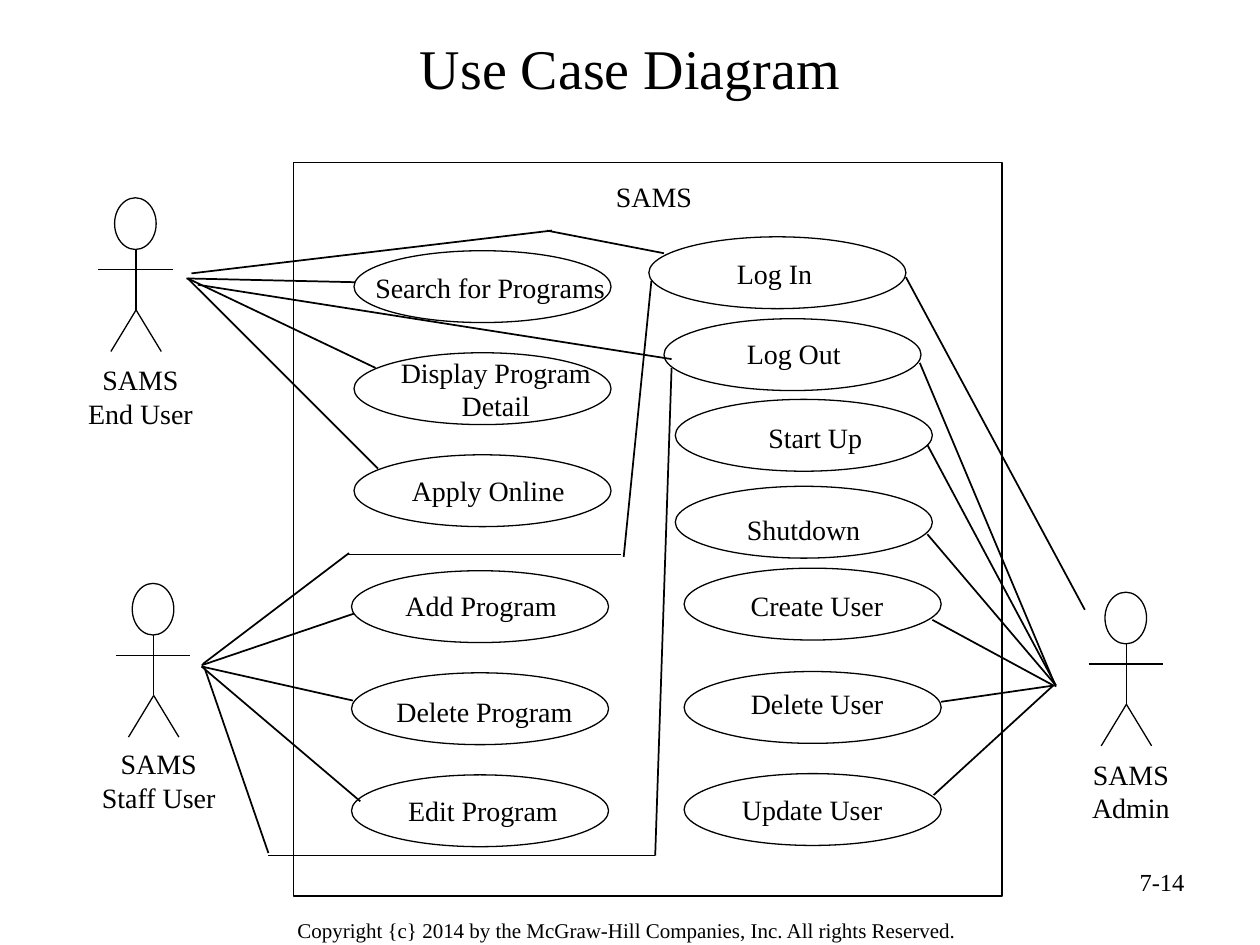
"""Build the use case diagram slide for SAMS."""
from lxml import etree
from pptx import Presentation
from pptx.dml.color import RGBColor
from pptx.enum.shapes import MSO_CONNECTOR, MSO_SHAPE
from pptx.enum.text import MSO_ANCHOR, MSO_AUTO_SIZE, PP_ALIGN
from pptx.oxml.ns import qn
from pptx.util import Inches, Pt

STRAIGHT = MSO_CONNECTOR.STRAIGHT
RECT, OVAL = MSO_SHAPE.RECTANGLE, MSO_SHAPE.OVAL
LEFT, CENTER, RIGHT = PP_ALIGN.LEFT, PP_ALIGN.CENTER, PP_ALIGN.RIGHT
MIDDLE = MSO_ANCHOR.MIDDLE
NO_GROW, GROW = MSO_AUTO_SIZE.NONE, MSO_AUTO_SIZE.SHAPE_TO_FIT_TEXT
BLACK = RGBColor.from_string("000000")

prs = Presentation()
prs.slide_width, prs.slide_height = Inches(10), Inches(7.5)
s = prs.slides.add_slide(prs.slide_layouts[5])


def write(sp, text, size, align):
    tf = sp.text_frame
    tf.text = text
    for p in tf.paragraphs:
        p.alignment = align
        p.font.name = "Times New Roman"
        p.font.size = Pt(size)
        p.font.color.rgb = BLACK
    return tf


def outline(sp, width):
    sp.line.color.rgb = BLACK
    sp.line.width = Pt(width)
    if hasattr(sp, "fill"):
        sp.fill.background()
        sp.shadow.inherit = False
    else:
        etree.SubElement(sp._element.spPr, qn("a:effectLst"))


title = s.shapes.title
title.left, title.top, title.width, title.height = map(Inches, (0.5, 0.16, 9, 0.75))
write(title, "Use Case Diagram", 32, CENTER).vertical_anchor = MIDDLE

footers = [
    ("Copyright {c} 2014 by the McGraw-Hill Companies, Inc. All rights Reserved.",
     (1.88, 7.22, 6.19, 0.31), 12, CENTER, GROW, 0.06),
    ("7-14", (7.17, 6.83, 2.33, 0.52), 14, RIGHT, NO_GROW, 0.05),
]
for text, box, size, align, grow, inset in footers:
    tf = write(s.shapes.add_textbox(*map(Inches, box)), text, size, align)
    tf.word_wrap = True
    tf.auto_size = grow
    tf.margin_top = tf.margin_bottom = Inches(inset)

system = s.shapes.add_shape(RECT, *map(Inches, (2.33, 1.29, 5.62, 5.82)))
outline(system, 1)

use_cases = [
    (5.15, 1.88), (5.27, 2.53), (5.36, 3.17), (5.36, 3.86),
    (5.43, 4.51), (5.43, 5.33), (5.43, 6.14),
    (2.81, 1.99), (2.81, 2.80), (2.81, 3.61),
    (2.79, 4.53), (2.79, 5.34), (2.79, 6.15),
]
for x, y in use_cases:
    outline(s.shapes.add_shape(OVAL, *map(Inches, (x, y, 2.04, 0.57))), 0.75)

labels = [
    ("SAMS", 4.79, 1.38, 0.8, LEFT),
    ("Log In", 5.75, 1.99, 0.79, LEFT),
    ("Log Out", 5.83, 2.62, 0.94, CENTER),
    ("Start Up", 6, 3.29, 0.94, LEFT),
    ("Shutdown", 5.83, 4.02, 1.1, LEFT),
    ("Create User", 5.86, 4.62, 1.25, LEFT),
    ("Delete User", 5.86, 5.4, 1.25, CENTER),
    ("Update User", 5.79, 6.24, 1.31, LEFT),
    ("Search for Programs", 2.88, 2.1, 2.02, LEFT),
    ("Display Program\nDetail", 3.08, 2.77, 1.71, CENTER),
    ("Apply Online", 3.17, 3.71, 1.41, LEFT),
    ("Add Program", 3.12, 4.62, 1.4, LEFT),
    ("Delete Program", 3.05, 5.46, 1.59, CENTER),
    ("Edit Program", 3.14, 6.25, 1.39, LEFT),
    ("SAMS\nEnd User", 0.6, 2.83, 1.03, CENTER),
    ("SAMS\nStaff User", 0.71, 5.88, 1.1, CENTER),
    ("SAMS\nAdmin", 8.57, 5.96, 0.81, CENTER),
]
for text, x, y, w, align in labels:
    h = 0.64 if "\n" in text else 0.37
    tf = write(s.shapes.add_textbox(*map(Inches, (x, y, w, h))), text, 16, align)
    tf.word_wrap = False
    tf.auto_size = NO_GROW
    tf.margin_left = Inches(0.05 if align == CENTER else 0.1)
    tf.margin_right = Inches(0.05)

lines = [
    (1.48, 2.21, 2.82, 2.24, 1), (1.49, 2.21, 2.98, 2.92, 1),
    (1.49, 2.21, 3, 3.72, 1), (1.57, 2.26, 5.33, 2.85, 1),
    (1.52, 2.17, 4.38, 1.83, 1), (4.34, 1.83, 5.27, 2.01, 1),
    (1.6, 5.28, 2.81, 4.87, 1), (1.6, 5.29, 2.8, 5.56, 1),
    (1.6, 5.29, 2.86, 6.36, 1),
    (1.61, 5.27, 2.77, 4.39, 1), (2.76, 4.4, 4.93, 4.4, 1),
    (4.95, 4.42, 5.17, 2.23, 1),
    (1.62, 5.29, 2.13, 6.77, 1), (2.13, 6.79, 5.2, 6.79, 1),
    (5.2, 6.79, 5.33, 2.92, 1),
    (8.36, 5.44, 7.4, 4.92, 1), (8.37, 5.44, 7.47, 5.57, 1),
    (8.36, 5.44, 7.41, 6.31, 1), (8.38, 5.44, 7.36, 4.24, 1),
    (8.38, 5.44, 7.36, 3.53, 1), (8.38, 5.45, 7.3, 2.88, 1),
    (8.61, 4.84, 7.19, 2.2, 1),
]
limbs = [
    (-0.3, 0.57, 0.29, 0.57), (0, 0.41, 0, 0.89),
    (0, 0.89, -0.2, 1.22), (0, 0.89, 0.2, 1.22),
]
for x, y in [(1.08, 1.57), (1.22, 4.63), (8.94, 4.7)]:
    outline(s.shapes.add_shape(OVAL, *map(Inches, (x - 0.17, y, 0.33, 0.41))), 0.75)
    lines += [(x + x1, y + y1, x + x2, y + y2, 0.75) for x1, y1, x2, y2 in limbs]

for *ends, width in lines:
    outline(s.shapes.add_connector(STRAIGHT, *map(Inches, ends)), width)

prs.save("out.pptx")
